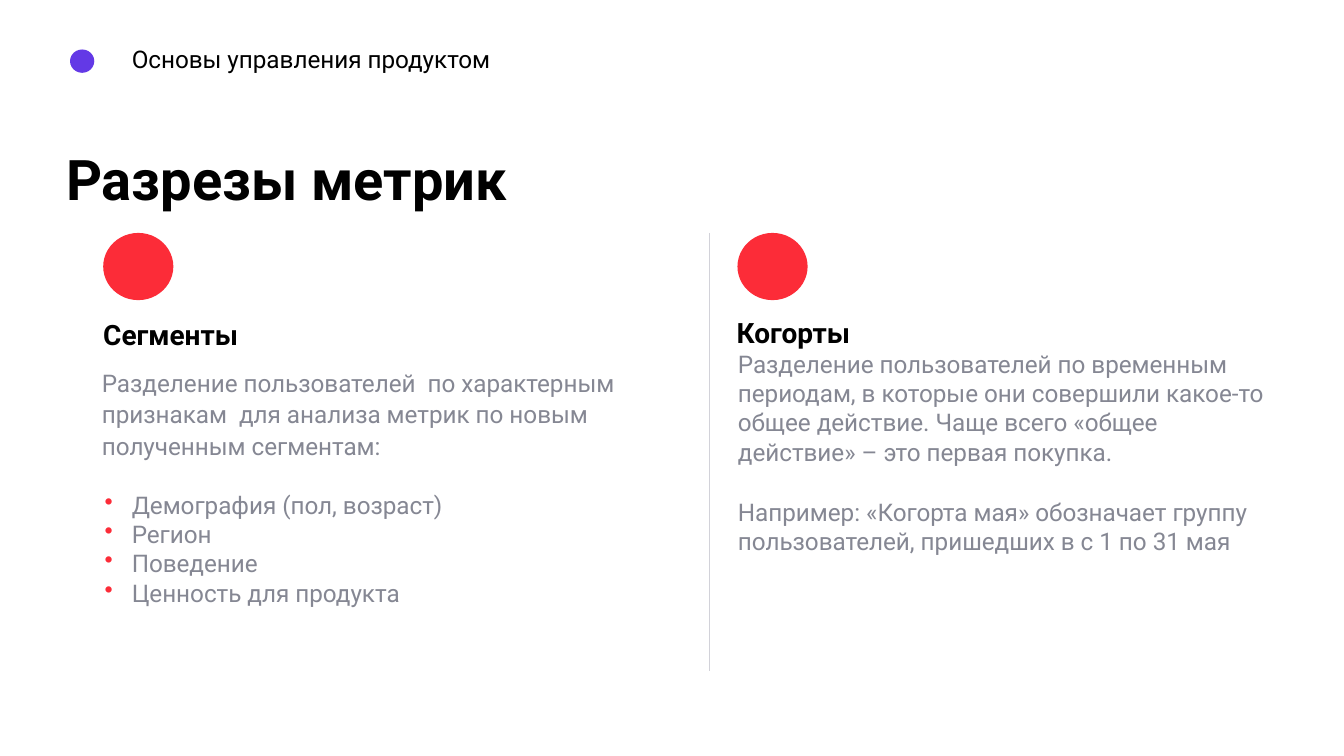
from dataclasses import dataclass

from lxml.etree import SubElement
from pptx import Presentation
from pptx.dml.color import RGBColor
from pptx.enum.shapes import MSO_CONNECTOR, MSO_SHAPE
from pptx.oxml.ns import qn
from pptx.util import Pt


@dataclass(frozen=True)
class Theme:
    font: str = "Roboto"
    black: str = "000000"
    grey: str = "858793"
    red: str = "FC2C38"
    violet: str = "6339E6"
    rule: str = "D2D2D9"
    title: float = 30
    head: float = 15
    body: float = 13


THEME = Theme()


def rgb(code):
    return RGBColor.from_string(code)


def add_box(slide, left, top, width, height, inset=(0, 0.7)):
    frame = slide.shapes.add_textbox(Pt(left), Pt(top), Pt(width), Pt(height)).text_frame
    frame.word_wrap = True
    frame.margin_left = frame.margin_right = Pt(inset[0])
    frame.margin_top = frame.margin_bottom = Pt(inset[1])
    return frame


def add_text(frame, text, size=THEME.body, color=THEME.grey, bold=False,
             before=0, spacing=None, indent=0, bullet=False):
    """Fill the first paragraph if it is free, else append one."""
    first = frame.paragraphs[0]
    para = first if not first.runs else frame.add_paragraph()
    props = para._p.get_or_add_pPr()
    props.set("marL", str(Pt(16 if bullet else indent)))
    if bullet:
        props.set("indent", str(Pt(-14.5)))
        SubElement(SubElement(props, qn("a:buClr")), qn("a:srgbClr")).set("val", THEME.red)
        SubElement(props, qn("a:buChar")).set("char", "•")
    para.space_before = Pt(before)
    if spacing:
        para.line_spacing = spacing
    run = para.add_run()
    run.text = text
    font = run.font
    font.name, font.size, font.bold = THEME.font, Pt(size), bold
    font.color.rgb = rgb(color)


def add_dot(slide, left, top, width, height, color):
    dot = slide.shapes.add_shape(MSO_SHAPE.OVAL, Pt(left), Pt(top), Pt(width), Pt(height))
    dot.shadow.inherit = False
    dot.fill.solid()
    dot.fill.fore_color.rgb = rgb(color)
    dot.line.fill.background()


def add_rule(slide, x, top, bottom):
    rule = slide.shapes.add_connector(
        MSO_CONNECTOR.STRAIGHT, Pt(x), Pt(top), Pt(x), Pt(bottom))
    rule.line.color.rgb = rgb(THEME.rule)
    rule.line.width = Pt(0.82)
    SubElement(rule._element.spPr, qn("a:effectLst"))


def add_head(frame, text, indent=0):
    add_text(frame, text, size=THEME.head, color=THEME.black, bold=True, indent=indent)


def add_segments(slide):
    add_dot(slide, 55.3, 124.8, 37.6, 36, THEME.red)
    frame = add_box(slide, 54.6, 169.2, 286, 223)
    add_head(frame, "Сегменты", indent=0.7)
    add_text(frame, "Разделение пользователей  по характерным признакам  для анализа "
             "метрик по новым  полученным сегментам:", before=8, spacing=1.08)
    traits = ["Демография (пол, возраст)", "Регион", "Поведение", "Ценность для продукта"]
    for i, trait in enumerate(traits):
        add_text(frame, trait, bullet=True, before=0 if i else 16.2)


def add_cohorts(slide):
    add_dot(slide, 395.1, 124.8, 37.6, 36, THEME.red)
    frame = add_box(slide, 394.6, 168.5, 290, 124)
    add_head(frame, "Когорты")
    add_text(frame, "Разделение пользователей по временным  периодам, в которые они "
             "совершили какое-то  общее действие. Чаще всего «общее  действие» – "
             "это первая покупка.", indent=0.7)
    add_text(frame, "Например: «Когорта мая» обозначает группу", before=16.5, indent=0.7)
    add_text(frame, "пользователей, пришедших в с 1 по 31 мая", indent=0.7)


def main():
    deck = Presentation()
    deck.slide_width, deck.slide_height = Pt(720), Pt(405)
    slide = deck.slides.add_slide(deck.slide_layouts[6])

    add_dot(slide, 37.5, 26.5, 13, 12.5, THEME.violet)
    course = add_box(slide, 67.7, 20.9, 425, 18, inset=(2.9, 2.9))
    add_text(course, "Основы управления продуктом", color=THEME.black, spacing=1.01)
    title = add_box(slide, 35.4, 77, 600, 35.5)
    add_text(title, "Разрезы метрик", size=THEME.title, color=THEME.black, bold=True)

    add_segments(slide)
    add_rule(slide, 380.2, 124.8, 359.3)
    add_cohorts(slide)
    deck.save("out.pptx")


if __name__ == "__main__":
    main()
